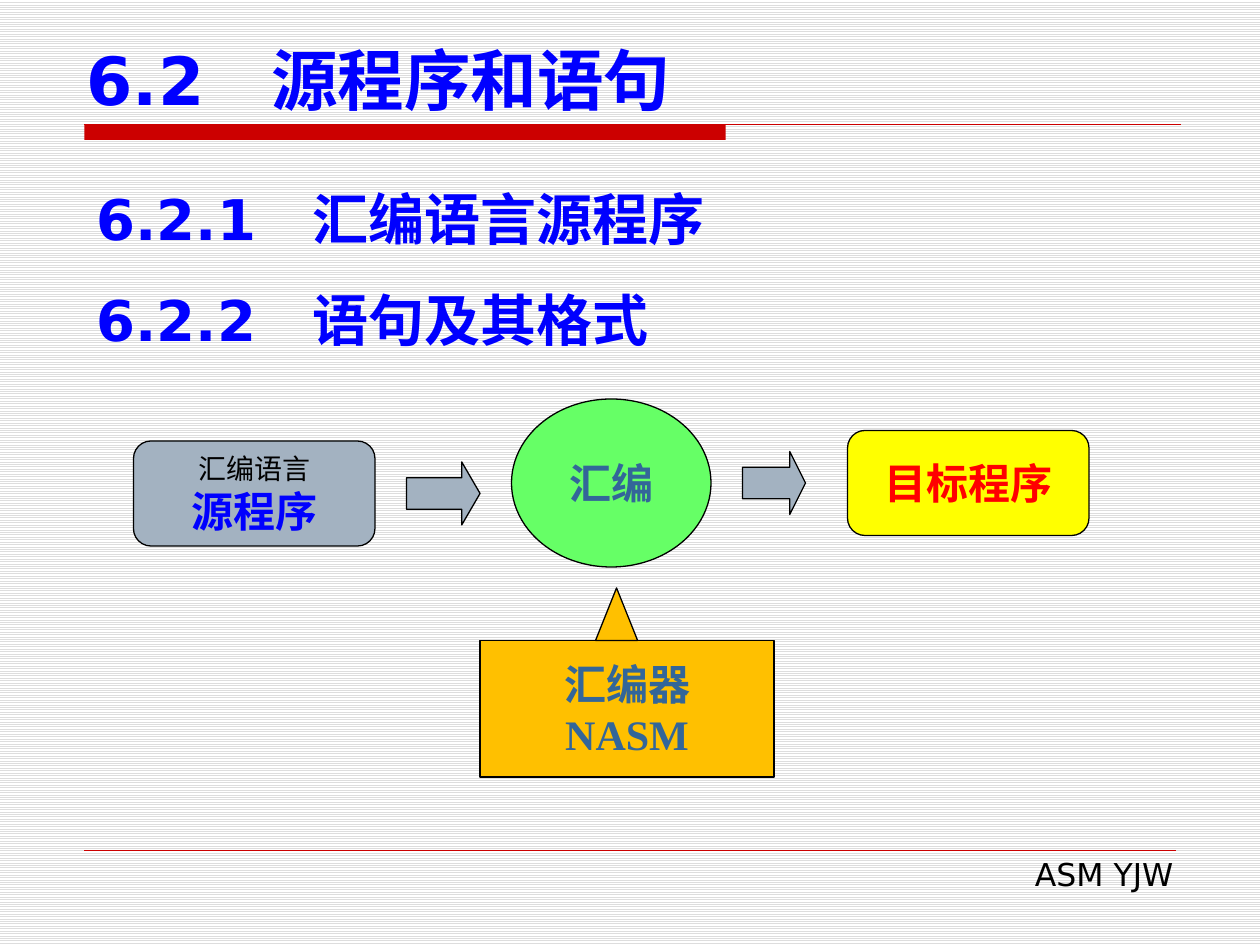
from dataclasses import dataclass

from lxml import etree
from pptx import Presentation
from pptx.dml.color import RGBColor
from pptx.enum.dml import MSO_PATTERN
from pptx.enum.shapes import MSO_CONNECTOR, MSO_SHAPE
from pptx.enum.text import MSO_ANCHOR, PP_ALIGN
from pptx.oxml.ns import qn
from pptx.util import Inches, Pt

ELLIPSE = MSO_SHAPE.OVAL
ARROW = MSO_SHAPE.RIGHT_ARROW
PROCESS = MSO_SHAPE.FLOWCHART_ALTERNATE_PROCESS
RECTANGLE = MSO_SHAPE.RECTANGLE
TRIANGLE = MSO_SHAPE.ISOSCELES_TRIANGLE
STRAIGHT = MSO_CONNECTOR.STRAIGHT
LIGHT_HORIZONTAL = MSO_PATTERN.LIGHT_HORIZONTAL
LEFT, CENTER, RIGHT = PP_ALIGN.LEFT, PP_ALIGN.CENTER, PP_ALIGN.RIGHT
TOP, MIDDLE, BOTTOM = MSO_ANCHOR.TOP, MSO_ANCHOR.MIDDLE, MSO_ANCHOR.BOTTOM

SANS, SERIF = "DejaVu Sans", "Times New Roman"
BLACK, BLUE, RED, STEEL = "000000", "0000FF", "CC0000", "336699"
GRAY, AMBER = "A3B2C1", "FFC000"
CELL = 1 / 12
GRID_LEFT = 0.06
MARGIN = 0.67
RULE_TOP = 0.99


@dataclass(frozen=True)
class Line:
    """A paragraph of text in one style."""
    text: str
    size: float
    color: str
    bold: bool = True
    font: str = SERIF


@dataclass(frozen=True)
class Node:
    """A diagram shape placed by column and row of the grid."""
    kind: int
    column: int
    row: int
    columns: int
    rows: int
    fill: str
    lines: tuple[Line, ...] = ()
    adjustments: tuple[float, ...] = ()


@dataclass(frozen=True)
class Label:
    """A text box with its place in inches."""
    box: tuple[float, float, float, float]
    lines: tuple[Line, ...]
    align: int = LEFT
    anchor: int = TOP
    spacing: float = 1.0


LABELS = (
    Label((3.82, 6.74, 5.59, 0.4), (Line("ASM YJW", 18, BLACK, False, SANS),), RIGHT),
    Label((0.59, 0.28, 9.06, 0.71), (Line("6.2　源程序和语句", 38, BLUE, font=SANS),), anchor=BOTTOM),
    Label((MARGIN, 1.15, 8.66, 1.72),
          (Line("6.2.1　汇编语言源程序", 32, BLUE, font=SANS),
           Line("6.2.2　语句及其格式", 32, BLUE, font=SANS)), spacing=1.5),
)

NODES = (
    Node(ELLIPSE, 48, 38, 19, 16, "66FF66", (Line("汇编", 24, STEEL),)),
    Node(ARROW, 38, 44, 7, 6, GRAY, adjustments=(0.5, 0.29)),
    Node(ARROW, 70, 43, 6, 6, GRAY, adjustments=(0.5, 0.25)),
    Node(PROCESS, 12, 42, 23, 10, GRAY,
         (Line("汇编语言", 16, BLACK, False), Line("源程序", 24, BLUE))),
    Node(PROCESS, 80, 41, 23, 10, "FFFF00", (Line("目标程序", 24, "FF0000"),)),
    Node(RECTANGLE, 45, 61, 28, 13, AMBER,
         (Line("汇编器", 24, STEEL), Line("NASM", 24, STEEL))),
    Node(TRIANGLE, 56, 56, 4, 5, AMBER),
)


def rgb(color: str) -> RGBColor:
    """Turn a hex string into a colour."""
    return RGBColor.from_string(color)


def write(frame, lines: tuple[Line, ...], align: int, anchor: int, spacing: float = 1.0) -> None:
    """Fill a text frame with styled paragraphs."""
    frame.vertical_anchor = anchor
    for index, line in enumerate(lines):
        paragraph = frame.add_paragraph() if index else frame.paragraphs[0]
        paragraph.text = line.text
        paragraph.alignment = align
        paragraph.line_spacing = spacing
        paragraph.font.name = line.font
        paragraph.font.size = Pt(line.size)
        paragraph.font.bold = line.bold
        paragraph.font.color.rgb = rgb(line.color)


def add_label(slide, label: Label) -> None:
    """Add a wrapping text box."""
    frame = slide.shapes.add_textbox(*map(Inches, label.box)).text_frame
    frame.word_wrap = True
    write(frame, label.lines, label.align, label.anchor, label.spacing)


def add_filled(slide, kind: int, box: tuple[float, ...], fill: str):
    """Add a flat preset shape without a shadow."""
    shape = slide.shapes.add_shape(kind, *map(Inches, box))
    shape.shadow.inherit = False
    shape.fill.solid()
    shape.fill.fore_color.rgb = rgb(fill)
    return shape


def add_node(slide, node: Node) -> None:
    """Add an outlined diagram shape with its text."""
    box = (GRID_LEFT + node.column * CELL, node.row * CELL, node.columns * CELL, node.rows * CELL)
    shape = add_filled(slide, node.kind, box, node.fill)
    shape.line.color.rgb = rgb(BLACK)
    shape.line.width = Pt(0.75)
    for index, value in enumerate(node.adjustments):
        shape.adjustments[index] = value
    if node.lines:
        shape.text_frame.word_wrap = False
        write(shape.text_frame, node.lines, CENTER, MIDDLE)


def add_rule(slide, top: float, right: float, width: float) -> None:
    """Add a red horizontal line from the left margin."""
    rule = slide.shapes.add_connector(STRAIGHT, Inches(MARGIN), Inches(top), Inches(right), Inches(top))
    rule.line.color.rgb = rgb(RED)
    rule.line.width = Pt(width)
    etree.SubElement(rule._element.spPr, qn("a:effectLst"))


def main() -> None:
    """Build and save the slide."""
    presentation = Presentation()
    presentation.slide_width, presentation.slide_height = Inches(10), Inches(7.5)
    slide = presentation.slides.add_slide(presentation.slide_layouts[6])
    background = slide.background.fill
    background.patterned()
    background.pattern = LIGHT_HORIZONTAL
    background.fore_color.rgb = rgb("DDDDDD")
    background.back_color.rgb = rgb("FFFFFF")

    bar = add_filled(slide, RECTANGLE, (MARGIN, RULE_TOP, 5.09, 0.12), RED)
    bar.line.fill.background()
    add_rule(slide, RULE_TOP, 9.37, 0.75)
    add_rule(slide, 6.75, 9.33, 0.25)
    for label in LABELS:
        add_label(slide, label)
    for node in NODES:
        add_node(slide, node)
    presentation.save("out.pptx")


if __name__ == "__main__":
    main()
